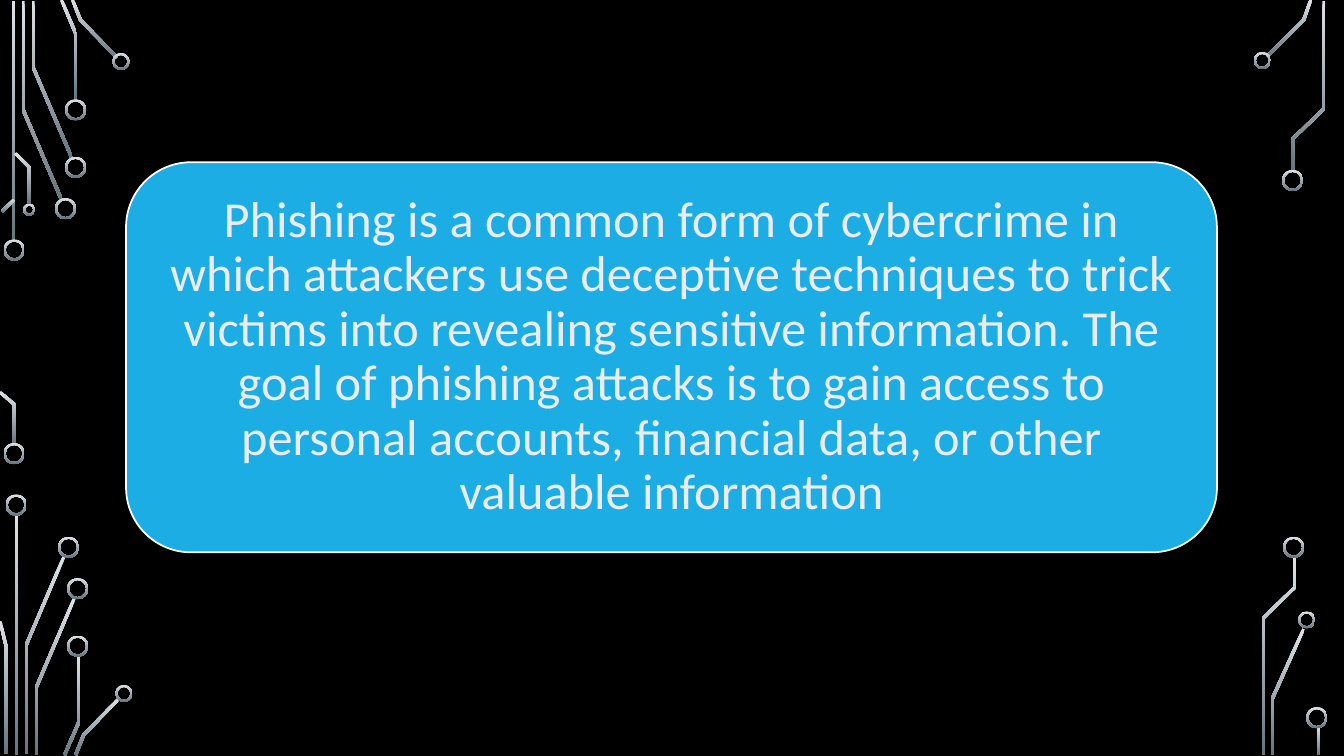
from typing import NamedTuple

from pptx import Presentation
from pptx import util as u
from pptx.dml.color import RGBColor
from pptx.enum import shapes, text

BLACK = RGBColor(0x00, 0x00, 0x00)
WHITE = RGBColor(0xFF, 0xFF, 0xFF)
SILVER = RGBColor(0xDF, 0xE3, 0xE5)
SLATE = RGBColor(0x65, 0x75, 0x7D)
BLUE = RGBColor(0x1C, 0xAD, 0xE4)
PALE = RGBColor(0xEB, 0xEC, 0xEF)

TRACE_WIDTH = 0.03
RING_WIDTH = 0.02


class Wire(NamedTuple):
    """Straight vertical strip of the circuit, in inches."""
    left: float
    top: float
    height: float


class Pad(NamedTuple):
    """Ring at the end of a trace, in inches."""
    x: float
    y: float
    size: float = 0.21


class Trace(NamedTuple):
    """Bent strip of the circuit, given by its centre line in inches."""
    points: tuple[tuple[float, float], ...]


WIRES = [Wire(0.12, 0.01, 2.39), Wire(0.15, 5.1, 2.39), Wire(13.06, 7.21, 0.28)]

PADS = [
    # Left edge, top to bottom
    Pad(1.2, 0.61, 0.17), Pad(0.75, 1.09), Pad(0.75, 1.66), Pad(0.65, 2.07),
    Pad(0.29, 2.08, 0.12), Pad(0.14, 2.48), Pad(0.14, 4.5), Pad(0.16, 5.01),
    Pad(0.68, 5.43), Pad(0.77, 5.84), Pad(0.77, 6.41), Pad(1.23, 6.88, 0.17),
    # Right edge, top to bottom
    Pad(12.52, 0.6, 0.17), Pad(12.82, 1.79), Pad(12.83, 5.43),
    Pad(12.96, 6.15, 0.17), Pad(13.06, 7.12),
]

TRACES = [
    # Top left
    Trace(((0.23, 0.01), (0.23, 1.09), (0.61, 1.98))),
    Trace(((0.33, 0.01), (0.33, 0.67), (0.71, 1.56))),
    Trace(((0.61, 0), (0.75, 0.33), (0.75, 1))),
    Trace(((0.72, 0), (0.8, 0.2), (1.16, 0.57))),
    Trace(((0.02, 2.1), (0.14, 1.98))),
    Trace(((0.15, 1.52), (0.29, 1.66), (0.29, 2.03))),
    # Middle and bottom left
    Trace(((0, 3.89), (0.14, 4.01), (0.14, 4.41))),
    Trace(((0.26, 7.48), (0.26, 6.4), (0.64, 5.51))),
    Trace(((0, 6.16), (0.06, 6.41), (0.06, 7.48))),
    Trace(((0.36, 7.49), (0.36, 6.82), (0.74, 5.93))),
    Trace(((0.64, 7.49), (0.78, 7.17), (0.78, 6.5))),
    Trace(((0.75, 7.49), (0.83, 7.29), (1.18, 6.93))),
    # Right
    Trace(((12.57, 0.56), (12.93, 0.2), (13, 0))),
    Trace(((12.82, 1.69), (12.82, 1.38), (13.13, 1.08), (13.13, 0.01))),
    Trace(((12.53, 7.49), (12.53, 6.13), (12.84, 5.83), (12.84, 5.52))),
    Trace(((12.62, 7.49), (12.62, 6.93), (12.93, 6.24))),
]

DEFINITION = (
    "Phishing is a common form of cybercrime in which attackers use deceptive "
    "techniques to trick victims into revealing sensitive information. The goal "
    "of phishing attacks is to gain access to personal accounts, financial data, "
    "or other valuable information"
)


def finish_metal(part) -> None:
    """Give a circuit part its silver-to-slate gradient."""
    part.shadow.inherit = False
    part.line.fill.background()
    part.fill.gradient()
    part.fill.gradient_angle = 270
    for stop, colour in zip(part.fill.gradient_stops, (SILVER, SLATE)):
        stop.color.rgb = colour


def draw_wire(slide, wire: Wire) -> None:
    finish_metal(slide.shapes.add_shape(
        shapes.MSO_SHAPE.RECTANGLE, u.Inches(wire.left), u.Inches(wire.top),
        u.Inches(TRACE_WIDTH), u.Inches(wire.height)))


def draw_pad(slide, pad: Pad) -> None:
    size = u.Inches(pad.size)
    ring = slide.shapes.add_shape(
        shapes.MSO_SHAPE.DONUT, u.Inches(pad.x - pad.size / 2),
        u.Inches(pad.y - pad.size / 2), size, size)
    ring.adjustments[0] = RING_WIDTH / pad.size
    finish_metal(ring)


def draw_trace(slide, trace: Trace) -> None:
    """Widen the centre line to a strip with mitred bends."""
    centre = [complex(*point) for point in trace.points]
    normals = [(b - a) / abs(b - a) * 1j for a, b in zip(centre, centre[1:])]
    offsets = [
        (n + m) / (1 + (n * m.conjugate()).real) * TRACE_WIDTH / 2
        for n, m in zip(normals[:1] + normals, normals + normals[-1:])
    ]
    one_side = [p + o for p, o in zip(centre, offsets)]
    other_side = [p - o for p, o in zip(centre, offsets)]
    outline = [(u.Inches(p.real), u.Inches(p.imag))
               for p in one_side + other_side[::-1]]
    strip = slide.shapes.build_freeform(*outline[0])
    strip.add_line_segments(outline[1:], close=True)
    finish_metal(strip.convert_to_shape())


def write(frame, words: str, *, size: float, colour: RGBColor,
          font: str = "Calibri", spacing: float = 1.0,
          align=text.PP_ALIGN.CENTER) -> None:
    frame.word_wrap = True
    frame.vertical_anchor = text.MSO_ANCHOR.MIDDLE
    frame.margin_left = frame.margin_right = u.Inches(0.15)
    frame.margin_top = frame.margin_bottom = u.Inches(0.07)
    paragraph = frame.paragraphs[0]
    paragraph.alignment = align
    paragraph.line_spacing = spacing
    run = paragraph.add_run()
    run.text = words
    run.font.name = font
    run.font.size = u.Pt(size)
    run.font.color.rgb = colour


def draw_definition(slide) -> None:
    card = slide.shapes.add_shape(
        shapes.MSO_SHAPE.ROUNDED_RECTANGLE, u.Inches(1.25), u.Inches(1.61),
        u.Inches(10.82), u.Inches(3.87))
    card.shadow.inherit = False
    card.fill.solid()
    card.fill.fore_color.rgb = BLUE
    card.line.color.rgb = WHITE
    card.line.width = u.Pt(1.25)
    write(card.text_frame, DEFINITION, size=36, colour=PALE, spacing=0.9)


def main() -> None:
    deck = Presentation()
    deck.slide_width, deck.slide_height = u.Inches(13.33), u.Inches(7.5)
    slide = deck.slides.add_slide(deck.slide_layouts[6])
    slide.background.fill.solid()
    slide.background.fill.fore_color.rgb = BLACK

    # Circuit decoration
    for wire in WIRES:
        draw_wire(slide, wire)
    for trace in TRACES:
        draw_trace(slide, trace)
    for pad in PADS:
        draw_pad(slide, pad)

    # Definition card
    draw_definition(slide)
    deck.save("out.pptx")


if __name__ == "__main__":
    main()
